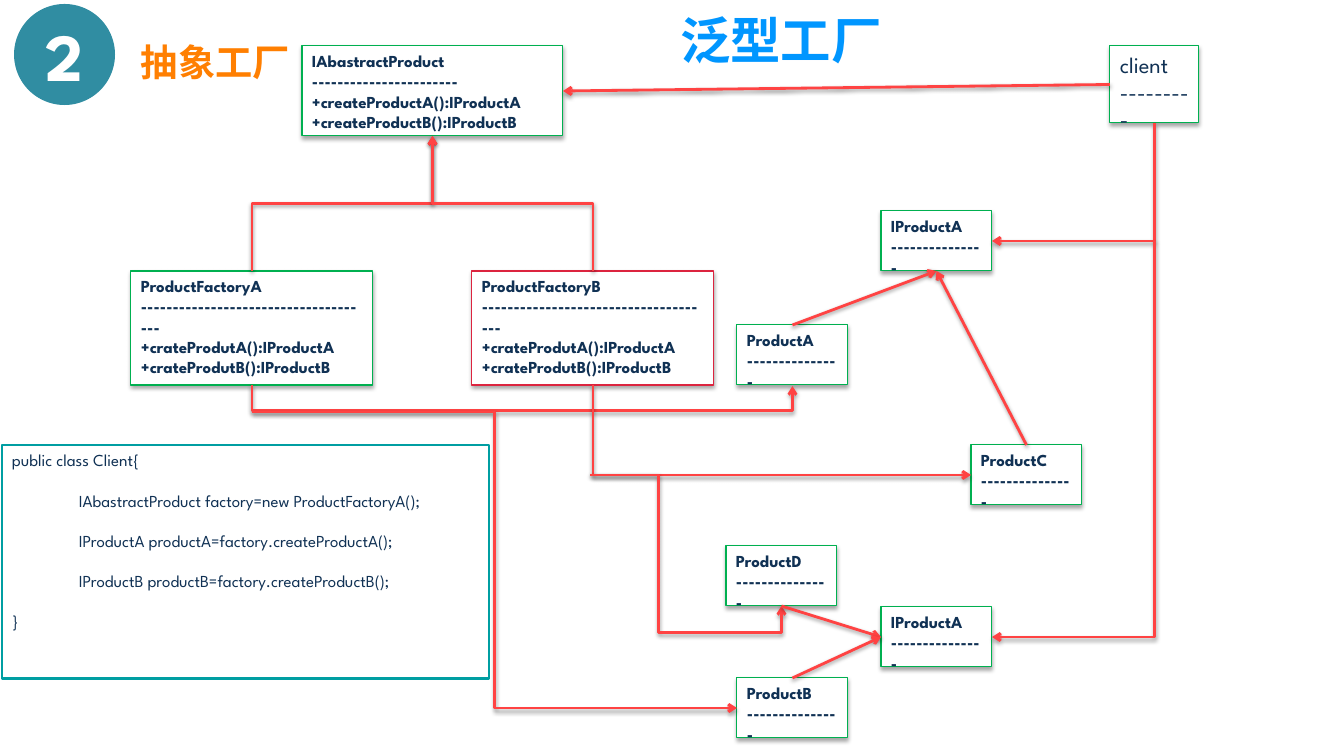
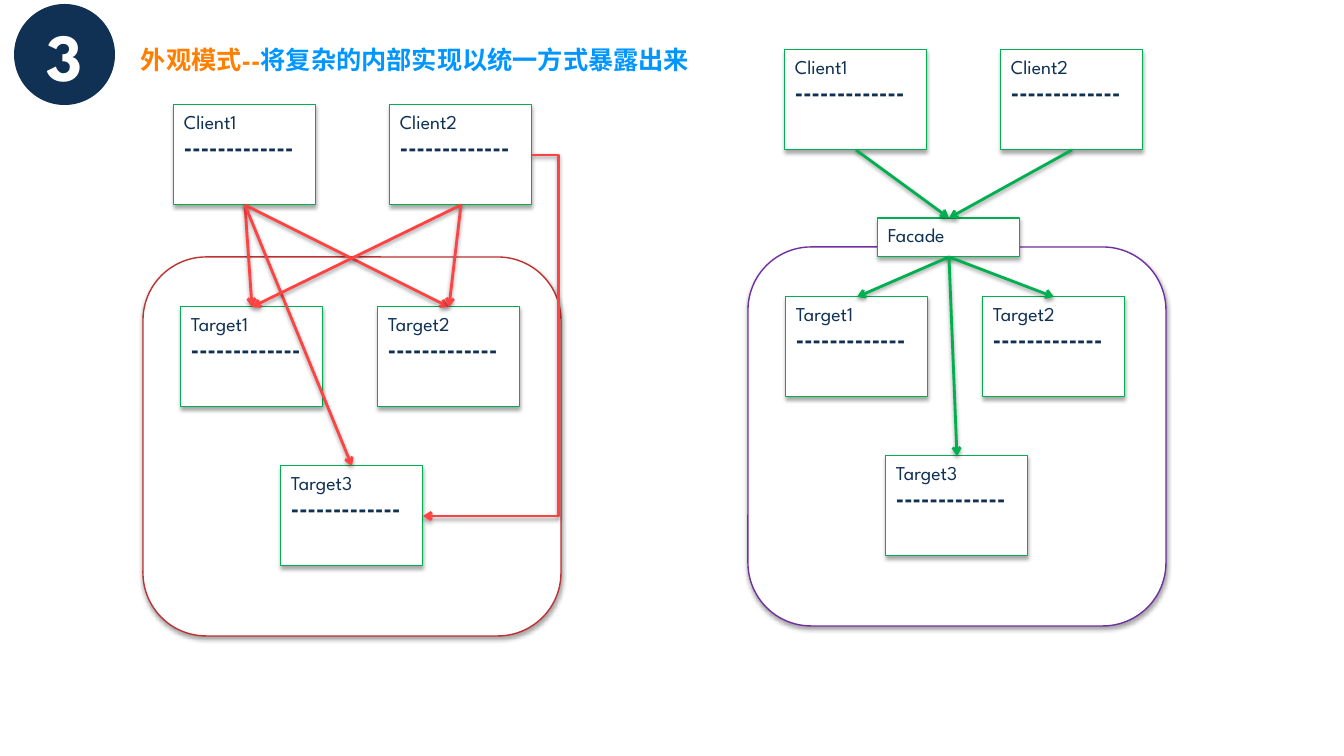
from dataclasses import dataclass

from lxml import etree
from pptx import Presentation
from pptx.dml.color import RGBColor
from pptx.enum.shapes import MSO_CONNECTOR as LINK, MSO_SHAPE as SHAPE
from pptx.enum.text import MSO_ANCHOR as ANCHOR, PP_ALIGN as ALIGN
from pptx.oxml import parse_xml
from pptx.oxml.ns import nsdecls, qn
from pptx.util import Pt

PX = 914400 / 100.8
FONT = "League Spartan"
COLORS = {
    "white": "FFFFFF", "navy": "103154", "teal": "308DA2", "orange": "FF7F01",
    "blue": "0096FF", "green": "00B050", "crimson": "DC243F", "red": "FF4343",
    "brick": "BD3232", "purple": "7030A0", "code": "009EA2",
}
NODE_SIZE = (142, 100)
PRODUCT_SIZE = (111, 60)
FACTORY_SIZE = (242, 114)
SUBSYSTEM_SIZE = (418, 379)


@dataclass
class Box:
    """Outline in px, with the middle of each side as a connection point."""
    x: int
    y: int
    w: int
    h: int

    @property
    def top(self):
        return self.x + self.w / 2, self.y

    @property
    def bottom(self):
        return self.x + self.w / 2, self.y + self.h

    @property
    def left(self):
        return self.x, self.y + self.h / 2

    @property
    def right(self):
        return self.x + self.w, self.y + self.h / 2


def emu(*lengths):
    return [round(length * PX) for length in lengths]


def rgb(color):
    return RGBColor.from_string(COLORS[color])


def add_run(paragraph, text, size, color, bold=False):
    run = paragraph.add_run()
    run.text = text
    run.font.name = FONT
    run.font.size = Pt(size)
    run.font.bold = bold
    run.font.color.rgb = rgb(color)


def add_shadow(shape, opacity, distance):
    shape._element.spPr.append(parse_xml(
        f'<a:effectLst {nsdecls("a")}><a:outerShdw blurRad="{Pt(3.1)}" '
        f'dist="{Pt(distance)}" dir="5400000" rotWithShape="0">'
        f'<a:srgbClr val="000000"><a:alpha val="{opacity * 1000}"/></a:srgbClr>'
        '</a:outerShdw></a:effectLst>'))


def add_panel(slide, preset, box, fill="white", border=None, weight=0.75, shadow=True):
    panel = slide.shapes.add_shape(preset, *emu(box.x, box.y, box.w, box.h))
    panel.fill.solid()
    panel.fill.fore_color.rgb = rgb(fill)
    if border:
        panel.line.color.rgb = rgb(border)
        panel.line.width = Pt(weight)
    else:
        panel.line.fill.background()
    if shadow:
        add_shadow(panel, 35, 1.8)
    else:
        panel.shadow.inherit = False
    return panel


def write_lines(panel, lines):
    """Fill a panel from its top left; each line is (text, size, bold)."""
    frame = panel.text_frame
    frame.word_wrap = True
    frame.vertical_anchor = ANCHOR.TOP
    for index, (text, size, bold) in enumerate(lines):
        paragraph = frame.add_paragraph() if index else frame.paragraphs[0]
        paragraph.alignment = ALIGN.LEFT
        add_run(paragraph, text, size, "navy", bold)
    return frame


def add_class(slide, x, y, size, lines, border="green"):
    box = Box(x, y, *size)
    write_lines(add_panel(slide, SHAPE.RECTANGLE, box, border=border), lines)
    return box


def add_product(slide, x, y, name):
    lines = [(name, 12, True), ("-" * 15, 12, True)]
    return add_class(slide, x, y, PRODUCT_SIZE, lines)


def add_factory(slide, x, y, name, border):
    texts = [name, "-" * 37, "+crateProdutA():IProductA", "+crateProdutB():IProductB"]
    return add_class(slide, x, y, FACTORY_SIZE, [(text, 12, True) for text in texts], border)


def add_node(slide, x, y, name):
    return add_class(slide, x, y, NODE_SIZE, [(name, 14, False), ("-" * 13, 16, True)])


def add_clients(slide, x, y):
    return [add_node(slide, x + 216 * i, y, f"Client{i + 1}") for i in range(2)]


def add_subsystem(slide, x, y, border):
    add_panel(slide, SHAPE.ROUNDED_RECTANGLE, Box(x, y, *SUBSYSTEM_SIZE), border=border, weight=1)
    offsets = [(38, 50), (235, 50), (138, 209)]
    return [add_node(slide, x + dx, y + dy, f"Target{number}")
            for number, (dx, dy) in enumerate(offsets, 1)]


def add_arrow(slide, start, end, color="red", kind=LINK.STRAIGHT):
    arrow = slide.shapes.add_connector(kind, *emu(*start, *end))
    arrow.line.color.rgb = rgb(color)
    arrow.line.width = Pt(2)
    etree.SubElement(arrow._element.spPr.ln, qn("a:tailEnd"), type="arrow")
    add_shadow(arrow, 38, 1.6)
    return arrow


def add_elbow(slide, start, end, bends=(), vertical=False):
    """Bent arrow; bends are fractions of its extent, vertical is its first direction."""
    rotation = 0
    if vertical:
        (x1, y1), (x2, y2) = start, end
        down = y2 >= y1
        rotation = 90 if down else 270
        middle_x, middle_y = (x1 + x2) / 2, (y1 + y2) / 2
        half_w = abs(y2 - y1) / 2
        half_h = (x1 - x2 if down else x2 - x1) / 2
        start = middle_x - half_w, middle_y - half_h
        end = middle_x + half_w, middle_y + half_h
    properties = add_arrow(slide, start, end, kind=LINK.ELBOW)._element.spPr
    if rotation:
        properties.xfrm.set("rot", str(rotation * 60000))
    properties.prstGeom.set("prst", f"bentConnector{len(bends) + 2}")
    properties.prstGeom.rewrite_guides(
        [(f"adj{i}", round(bend * 100000)) for i, bend in enumerate(bends, 1)])


def add_heading(slide, number, badge_color, size, parts):
    badge = add_panel(slide, SHAPE.OVAL, Box(14, 4, 101, 101), badge_color, shadow=False)
    badge.text_frame.vertical_anchor = ANCHOR.MIDDLE
    digit = badge.text_frame.paragraphs[0]
    digit.alignment = ALIGN.CENTER
    add_run(digit, number, 48, "white", True)

    frame = slide.shapes.add_textbox(*emu(131, 20, 861, 69)).text_frame
    frame.word_wrap = True
    frame.vertical_anchor = ANCHOR.MIDDLE
    title = frame.paragraphs[0]
    title.line_spacing = 1.3
    for text, color in parts:
        add_run(title, text, size, color, True)


def add_code(slide):
    statements = [
        "IAbastractProduct factory=new ProductFactoryA();",
        "IProductA productA=factory.createProductA();",
        "IProductB productB=factory.createProductB();",
    ]
    lines = ["public class Client{", *statements, "}"]
    panel = add_panel(slide, SHAPE.RECTANGLE, Box(2, 445, 487, 234),
                      border="code", weight=2, shadow=False)
    frame = write_lines(panel, [(line, 12, False) for line in lines])
    for paragraph in frame.paragraphs[1:]:
        paragraph.space_before = Pt(14.4)
    for paragraph in frame.paragraphs[1:-1]:
        paragraph._p.get_or_add_pPr().set("marL", str(emu(67)[0]))


def add_topic(slide):
    frame = slide.shapes.add_textbox(*emu(670, 4, 222, 72)).text_frame
    frame.word_wrap = False
    topic = frame.paragraphs[0]
    topic.alignment = ALIGN.CENTER
    add_run(topic, "泛型工厂", 36, "blue", True)


def build_abstract_factory(slide):
    add_heading(slide, "2", "teal", 26.6, [("抽象工厂", "orange")])
    methods = ["IAbastractProduct", "-" * 23,
               "+createProductA():IProductA", "+createProductB():IProductB"]
    abstract = add_class(slide, 302, 46, (261, 90), [(text, 12, True) for text in methods])
    factory_a = add_factory(slide, 131, 271, "ProductFactoryA", "green")
    factory_b = add_factory(slide, 472, 271, "ProductFactoryB", "crimson")
    client = add_class(slide, 1110, 46, (89, 77),
                       [("client", 16, False), ("-" * 9, 16, False)])
    upper = add_product(slide, 881, 211, "IProductA")
    product_a = add_product(slide, 737, 325, "ProductA")
    product_c = add_product(slide, 971, 445, "ProductC")
    lower = add_product(slide, 881, 607, "IProductA")
    product_b = add_product(slide, 737, 678, "ProductB")
    product_d = add_product(slide, 726, 546, "ProductD")

    client_x = client.bottom[0]
    add_elbow(slide, client.bottom, upper.right, vertical=True)
    add_elbow(slide, (client_x, upper.right[1]), lower.right, vertical=True)
    for factory in (factory_a, factory_b):
        add_elbow(slide, factory.top, abstract.bottom, [0.5], vertical=True)
    product_a_x, product_a_y = product_a.bottom
    add_elbow(slide, factory_a.bottom, (product_a_x, product_a_y + 1), [26], vertical=True)
    add_elbow(slide, (factory_a.bottom[0], 412), product_b.left, [0.5])
    add_elbow(slide, factory_b.bottom, product_c.left, vertical=True)
    add_elbow(slide, (590, 475), product_d.bottom, [0.36, 1.2])
    for start, end in [(product_a.top, upper.bottom), (product_c.top, upper.bottom),
                       (product_d.bottom, lower.left), (product_b.top, lower.left),
                       (client.left, abstract.right)]:
        add_arrow(slide, start, end)
    add_code(slide)
    add_topic(slide)


def build_facade(slide):
    add_heading(slide, "3", "navy", 18,
                [("外观模式--", "orange"), ("将复杂的内部实现以统一方式暴露出来", "blue")])

    client1, client2 = add_clients(slide, 174, 105)
    targets = add_subsystem(slide, 143, 257, "brick")
    for target in targets:
        add_arrow(slide, client1.bottom, target.top)
    for target in targets[:2]:
        add_arrow(slide, client2.bottom, target.top)
    add_elbow(slide, client2.right, targets[2].right, [-0.24])

    clients = add_clients(slide, 785, 50)
    targets = add_subsystem(slide, 748, 247, "purple")
    facade = add_class(slide, 878, 218, (142, 39), [("Facade", 14, False)])
    for client in clients:
        add_arrow(slide, client.bottom, facade.top, "green")
    for target in targets:
        add_arrow(slide, facade.bottom, target.top, "green")


def main():
    deck = Presentation()
    deck.slide_width, deck.slide_height = emu(1344, 756)
    for build in (build_abstract_factory, build_facade):
        build(deck.slides.add_slide(deck.slide_layouts[6]))
    deck.save("out.pptx")


if __name__ == "__main__":
    main()
